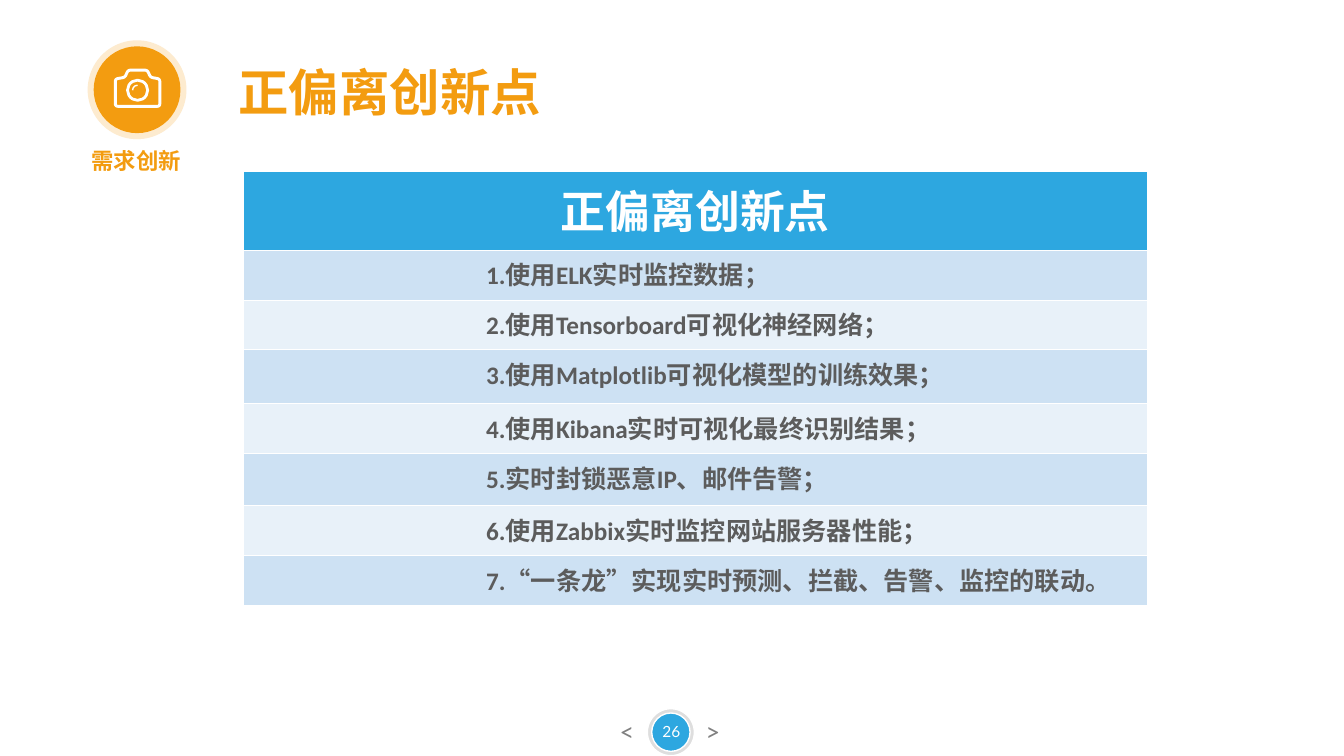
from lxml import etree
from pptx import Presentation
from pptx.dml.color import RGBColor
from pptx.enum import shapes as kinds, text as modes
from pptx.oxml import ns
from pptx.util import Pt

ORANGE = RGBColor(0xF3, 0x9C, 0x10)
CREAM = RGBColor(0xFD, 0xEB, 0xCF)
BLUE = RGBColor(0x2D, 0xA7, 0xE0)
BANDS = [RGBColor(0xCD, 0xE1, 0xF3), RGBColor(0xE8, 0xF1, 0xF9)]
WHITE = RGBColor(0xFF, 0xFF, 0xFF)
SILVER = RGBColor(0xBF, 0xBF, 0xBF)
GREY = RGBColor(0x80, 0x80, 0x80)
INK = RGBColor(0x5C, 0x5C, 0x5C)

deck = Presentation()
deck.slide_width, deck.slide_height = Pt(960), Pt(540)
slide = deck.slides.add_slide(deck.slide_layouts[5])
items = slide.shapes


def style(frame, words, size, color, bold=False, face="Lato", align=modes.PP_ALIGN.CENTER):
    frame.text = words
    para = frame.paragraphs[0]
    para.alignment = align
    font = para.runs[0].font
    font.name, font.size, font.bold = face, Pt(size), bold
    font.color.rgb = color


def disc(x, y, rad, fill=None, line=None, width=1, kind=kinds.MSO_SHAPE.OVAL):
    item = items.add_shape(kind, Pt(x - rad), Pt(y - rad), Pt(2 * rad), Pt(2 * rad))
    item.shadow.inherit = False
    if fill is None:
        item.fill.background()
    else:
        item.fill.solid()
        item.fill.fore_color.rgb = fill
    if line is None:
        item.line.fill.background()
    else:
        item.line.color.rgb = line
        item.line.width = Pt(width)
    return item


title = items.title
title.left, title.top, title.width, title.height = Pt(133.2), Pt(39.6), Pt(290.2), Pt(51.1)
title.text_frame.word_wrap = True
style(title.text_frame, "正偏离创新点", 36, ORANGE, True)

ring = disc(479.2, 523, 16.8, SILVER, WHITE)
tint = ring.fill._xPr.find(".//" + ns.qn("a:srgbClr"))
etree.SubElement(tint, ns.qn("a:alpha"), val="50000")
disc(479.2, 523, 13.7, BLUE, WHITE)

disc(97.9, 64.1, 35.3, CREAM)
disc(97.9, 64.1, 31, ORANGE)
disc(98.3, 64.5, 7.2, None, WHITE, 2)
glint = disc(98.3, 64.5, 3.6, None, WHITE, 1, kinds.MSO_SHAPE.ARC)
glint.adjustments[0], glint.adjustments[1] = 108, 162

nodes = [(82.4, 76), (82.4, 56.4), (89.3, 55.3), (91.5, 50.1),
         (105.3, 50.1), (107.5, 55.3), (114.2, 56.4), (114.2, 76)]
dots = []
for i, (x, y) in enumerate(nodes):
    ends = []
    for a, b in (nodes[i - 1], nodes[(i + 1) % len(nodes)]):
        part = 2 / ((a - x) ** 2 + (b - y) ** 2) ** 0.5
        ends.append((x + (a - x) * part, y + (b - y) * part))
    (p, q), (r, s) = ends
    for step in range(5):
        t = step / 4
        dots.append((100 * (p * (1 - t) ** 2 + 2 * x * t * (1 - t) + r * t * t),
                     100 * (q * (1 - t) ** 2 + 2 * y * t * (1 - t) + s * t * t)))
path = items.build_freeform(*dots[0], scale=Pt(1) / 100)
path.add_line_segments(dots[1:], close=True)
body = path.convert_to_shape()
body.shadow.inherit = False
body.fill.background()
body.line.color.rgb = WHITE
body.line.width = Pt(2.1)

labels = [
    ("需求创新", 2.2, 101.5, 190, 27.4, 16, ORANGE, True),
    ("26", 462.2, 511.9, 34.6, 20.9, 11, WHITE, False),
    ("<", 432.8, 508.3, 30, 28.8, 18, GREY, False),
    (">", 494.2, 508.3, 30, 28.8, 18, GREY, False),
]
for words, x, y, w, h, size, color, bold in labels:
    box = items.add_textbox(Pt(x), Pt(y), Pt(w), Pt(h))
    box.text_frame.word_wrap = True
    style(box.text_frame, words, size, color, bold)

points = [
    "使用ELK实时监控数据；",
    "使用Tensorboard可视化神经网络；",
    "使用Matplotlib可视化模型的训练效果；",
    "使用Kibana实时可视化最终识别结果；",
    "实时封锁恶意IP、邮件告警；",
    "使用Zabbix实时监控网站服务器性能；",
    "“一条龙”实现实时预测、拦截、告警、监控的联动。",
]
highs = [56.2, 35.6, 35.6, 38.5, 35.8, 37.1, 35.8, 35.2]
grid = items.add_table(len(highs), 1, Pt(173.8), Pt(122.6), Pt(645.8), Pt(sum(highs))).table
for row, high in zip(grid.rows, highs):
    row.height = Pt(high)
head = grid.cell(0, 0)
head.fill.solid()
head.fill.fore_color.rgb = BLUE
style(head.text_frame, "正偏离创新点", 32, WHITE, True, "Calibri")
for num, words in enumerate(points, 1):
    cell = grid.cell(num, 0)
    cell.fill.solid()
    cell.fill.fore_color.rgb = BANDS[(num - 1) % 2]
    cell.margin_left = Pt(173.5)
    style(cell.text_frame, f"{num}.{words}", 18, INK, True, "Calibri", modes.PP_ALIGN.LEFT)

deck.save("out.pptx")
